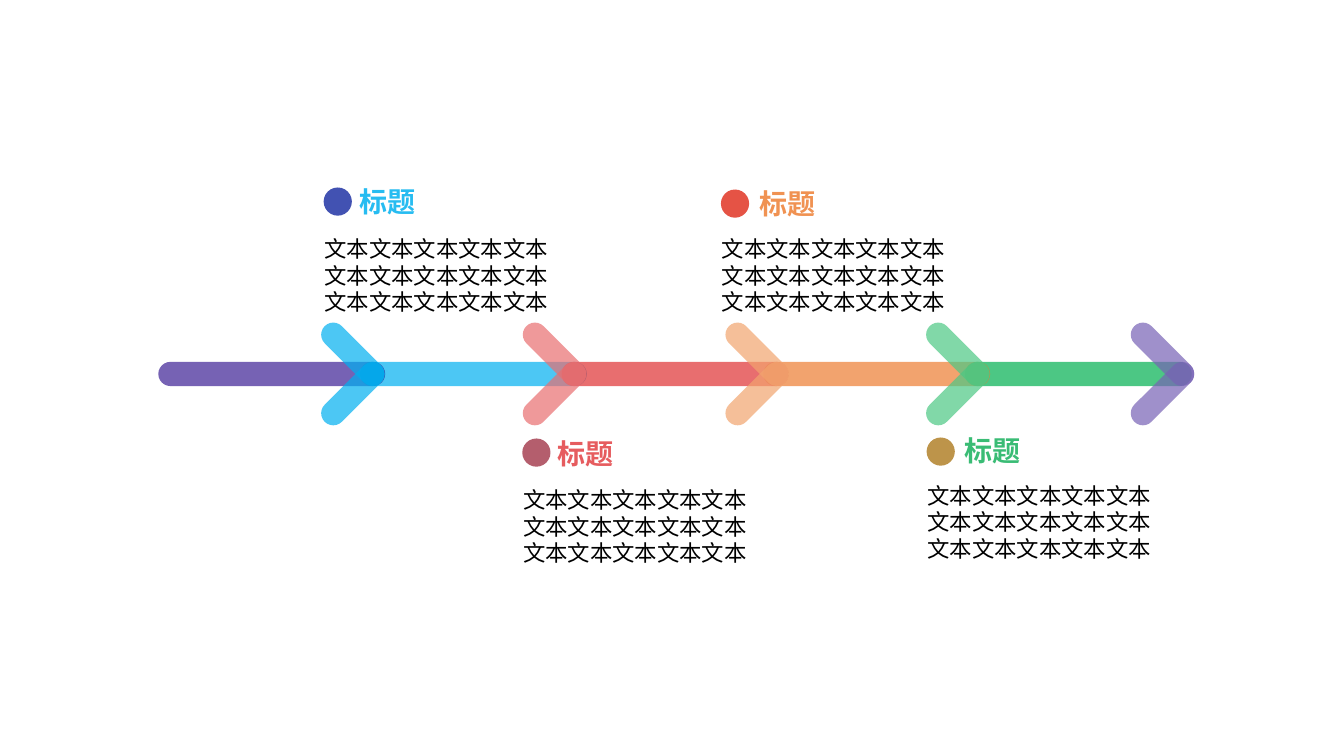
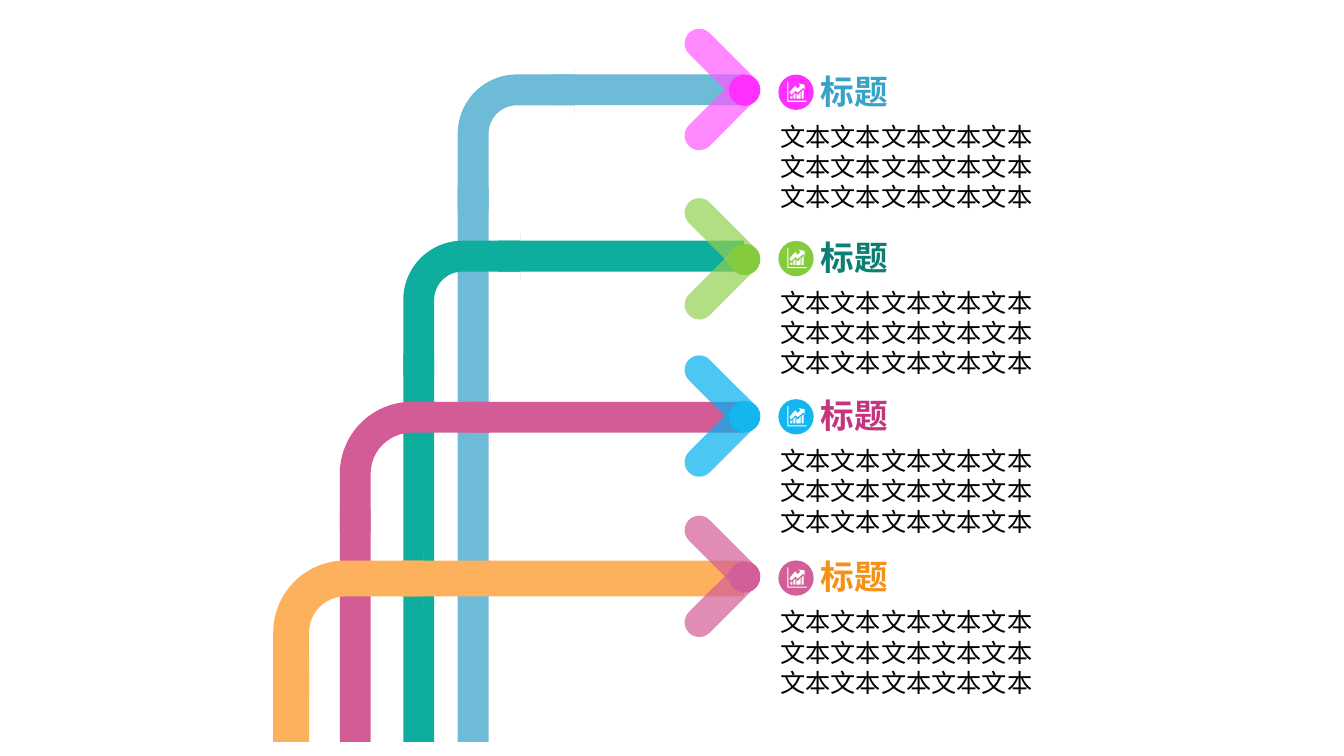
from dataclasses import dataclass

from lxml import etree
from pptx import Presentation
from pptx.dml.color import RGBColor
from pptx.enum.shapes import MSO_SHAPE
from pptx.enum.text import MSO_AUTO_SIZE
from pptx.oxml.ns import qn
from pptx.util import Inches, Pt

BAR = MSO_SHAPE.ROUNDED_RECTANGLE
RECTANGLE = MSO_SHAPE.RECTANGLE
CIRCLE = MSO_SHAPE.OVAL
BEND = MSO_SHAPE.BENT_ARROW
GROW = MSO_AUTO_SIZE.SHAPE_TO_FIT_TEXT


@dataclass(frozen=True)
class Theme:
    font: str = "Noto Sans CJK SC"
    text: str = "000000"
    icon: str = "FFFFFF"
    opacity: int = 70
    line_height: float = 1.2
    timeline_heading: int = 20
    timeline_body: int = 16
    branch_heading: int = 24
    branch_body: int = 18
    segments: tuple = ("3D2095", "00B0F0", "DF3133", "ED7D31", "00B050")
    arrowheads: tuple = ("00B0F0", "E96E70", "F2A46E", "4CC884", "7762B5")
    dots: tuple = ("4252B2", "B45E6D", "E55345", "BD944A")
    timeline_titles: tuple = ("27BCF1", "E65C5F", "F09252", "3ABC75")
    pipes: tuple = ("6DBBD6", "0FAD9E", "D35C97", "FDB15D")
    branch_heads: tuple = ("FF57FF", "92D050", "00B0F0", "D35C97")
    branch_dots: tuple = ("FF2FFF", "84CB3D", "14B6F0", "D35F99")
    branch_titles: tuple = ("39A2C7", "0B7F74", "C5357D", "F59117")


theme = Theme()


def add_block(slide, kind, box, color, opacity=100, rotation=0, adjustments=()):
    shape = slide.shapes.add_shape(kind, *[Inches(length) for length in box])
    shape.shadow.inherit = False
    shape.line.fill.background()
    shape.fill.solid()
    shape.fill.fore_color.rgb = RGBColor.from_string(color)
    shape.rotation = rotation
    for index, value in enumerate(adjustments):
        shape.adjustments[index] = value
    if opacity < 100:
        color_element = shape._element.spPr.find(qn("a:solidFill"))[0]
        etree.SubElement(color_element, qn("a:alpha"), val=str(opacity * 1000))


def add_text(slide, box, lines, size, color, bold=False):
    shape = slide.shapes.add_textbox(*[Inches(length) for length in box])
    frame = shape.text_frame
    frame.word_wrap = False
    frame.auto_size = GROW
    for index, line in enumerate(lines):
        paragraph = frame.add_paragraph() if index else frame.paragraphs[0]
        paragraph.line_spacing = Pt(size * theme.line_height)
        run = paragraph.add_run()
        run.text = line
        run.font.name = theme.font
        run.font.size = Pt(size)
        run.font.bold = bold
        run.font.color.rgb = RGBColor.from_string(color)
        east_asian = etree.SubElement(run._r.get_or_add_rPr(), qn("a:ea"))
        east_asian.set("typeface", theme.font)


presentation = Presentation()
presentation.slide_width = Inches(13.33)
presentation.slide_height = Inches(7.5)
blank_layout = presentation.slide_layouts[6]

heading = ["标题"]
body = ["文本文本文本文本文本"] * 3

timeline = presentation.slides.add_slide(blank_layout)

for position in (4, 3, 1, 2, 0):
    box = (1.57 + 2 * position, 3.59, 2.25, 0.24)
    add_block(timeline, BAR, box, theme.segments[position], theme.opacity, adjustments=(0.5,))

milestones = (
    (3.21, 1.86, 3.47, 1.78, 2.28),
    (5.18, 4.35, 5.43, 4.28, 4.77),
    (7.15, 1.88, 7.43, 1.80, 2.28),
    (9.19, 4.34, 9.47, 4.25, 4.73),
)
for milestone, dot_color, title_color in zip(milestones, theme.dots, theme.timeline_titles):
    dot_left, dot_top, title_left, title_top, body_top = milestone
    add_block(timeline, CIRCLE, (dot_left, dot_top, 0.28, 0.28), dot_color)
    add_text(timeline, (title_left, title_top, 0.76, 0.44), heading,
             theme.timeline_heading, title_color, bold=True)
    add_text(timeline, (dot_left - 0.09, body_top, 2.45, 0.91), body,
             theme.timeline_body, theme.text)

for left, color in zip((3.38, 5.38, 7.39, 9.38, 11.41), theme.arrowheads):
    for top, rotation in ((3.12, 315), (3.51, 45)):
        add_block(timeline, BAR, (left, top, 0.24, 0.79), color, theme.opacity, rotation, (0.5,))

branches = presentation.slides.add_slide(blank_layout)

pipe_bottom = 7.36
pipe_right = 7.38
bend_height = 1.41
bend_axis = 0.191
overlap = 0.22
bends = (
    (4.54, 0.67, 1.16, 0.264),
    (4.00, 2.32, 1.16, 0.264),
    (3.37, 3.87, 1.49, 0.217),
    (2.71, 5.47, 1.49, 0.252),
)
for (left, top, width, thickness_ratio), color in zip(bends, theme.pipes):
    short_side = min(width, bend_height)
    thickness = thickness_ratio * short_side
    add_block(branches, BEND, (left, top, width, bend_height), color,
              adjustments=(thickness_ratio, bend_axis, 0, 0.506))
    upright_top = top + bend_height - overlap
    add_block(branches, RECTANGLE, (left, upright_top, thickness, pipe_bottom - upright_top), color)
    run_top = top + (bend_axis - thickness_ratio / 2) * short_side
    run_left = left + width - overlap
    add_block(branches, RECTANGLE, (run_left, run_top, pipe_right - run_left, thickness), color)

chart_icon = (
    ((3, 14), (4, 15), (5, 14), (5, 17), (3, 17)),
    ((9, 12), (10, 13), (10, 14), (11, 13), (11, 17), (9, 17)),
    ((8, 11), (8, 17), (6, 17), (6, 13)),
    ((13, 10), (13, 17), (11, 17), (11, 13)),
    ((16, 8), (16, 17), (14, 17), (14, 10)),
    ((11, 2), (17, 3), (17, 8), (16, 6), (10, 11), (8, 9), (4, 13), (2, 11),
     (5, 7), (8, 4), (10, 7), (13, 4)),
    ((0, 0), (1, 0), (1, 19), (19, 19), (19, 20), (0, 20)),
)
rows = zip((0.19, 1.87, 3.43, 5.02), (0.65, 2.30, 3.87, 5.47),
           theme.branch_heads, theme.branch_dots, theme.branch_titles)
for head_top, title_top, head_color, dot_color, title_color in rows:
    for drop, rotation in ((0, 315), (0.455, 45)):
        add_block(branches, BAR, (7.02, head_top + drop, 0.29, 0.94), head_color,
                  theme.opacity, rotation, (0.5,))
    add_block(branches, CIRCLE, (7.23, head_top + 0.55, 0.31, 0.31), dot_color)
    add_text(branches, (8.04, title_top, 0.88, 0.5), heading,
             theme.branch_heading, title_color, bold=True)
    add_text(branches, (7.64, title_top + 0.5, 2.73, 1.01), body, theme.branch_body, theme.text)
    add_block(branches, CIRCLE, (7.72, title_top + 0.09, 0.35, 0.35), dot_color)
    builder = branches.shapes.build_freeform(*chart_icon[0][0], scale=Inches(0.01))
    for index, contour in enumerate(chart_icon):
        if index:
            builder.move_to(*contour[0])
        builder.add_line_segments(contour[1:], close=True)
    icon = builder.convert_to_shape(Inches(7.81), Inches(title_top + 0.16))
    icon.shadow.inherit = False
    icon.line.fill.background()
    icon.fill.solid()
    icon.fill.fore_color.rgb = RGBColor.from_string(theme.icon)

presentation.save("out.pptx")
